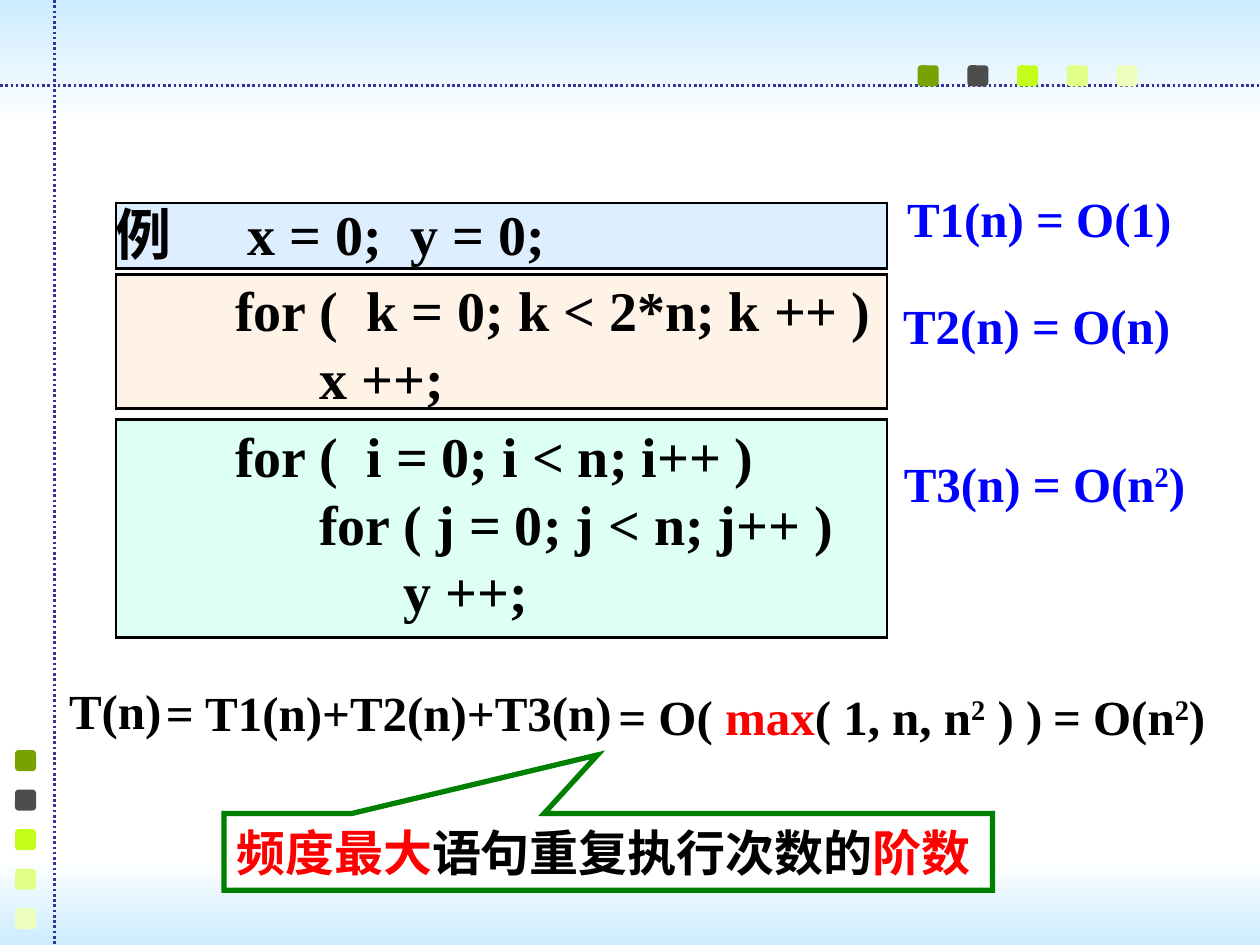
from lxml import etree
from pptx import Presentation
from pptx.dml.color import RGBColor
from pptx.enum.dml import MSO_LINE
from pptx.enum.shapes import MSO_CONNECTOR, MSO_SHAPE
from pptx.enum.text import MSO_ANCHOR, PP_ALIGN
from pptx.oxml.ns import qn
from pptx.util import Pt

RECT = MSO_SHAPE.RECTANGLE
ROUND = MSO_SHAPE.ROUNDED_RECTANGLE
CALLOUT = MSO_SHAPE.RECTANGULAR_CALLOUT
STRAIGHT = MSO_CONNECTOR.STRAIGHT
DOTTED = MSO_LINE.ROUND_DOT
MIDDLE, TOP = MSO_ANCHOR.MIDDLE, MSO_ANCHOR.TOP
LEFT = PP_ALIGN.LEFT

WIDTH, HEIGHT = 720, 540
THEME = {
    "font": "Times New Roman", "code_size": 32, "formula_size": 28,
    "indent": 48,
    "text": "000000", "cost": "0000FF", "accent": "FF0000",
    "paper": "FFFFFF", "sky": "CCECFF", "guide": "333399",
    "outline": "000000", "callout_line": "008000",
    "dots": ["78A200", "4D4D4D", "C3FF1B", "E0FF87", "EEFFBD"],
}


# Content: a run is (text, colour key, superscript)
def plain(text, color="text"):
    return (text, color, False)


def squared(before, after, color="text"):
    return [plain(before, color), ("2", color, True), plain(after, color)]


# Panels: (left, top, width, height), fill
PANELS = [
    ((66.4, 239.8, 440.6, 124.6), "DDFFF6"),
    ((66.4, 157, 440.6, 76.3), "FFF3E7"),
    ((66.4, 115.9, 440.6, 37.4), "DDEEFF"),
]
# Code: box, lines; each line is (indent level, text)
CODE = [
    ((59, 110.2, 60, 45.4), [(0, "例")]),
    ((134.6, 110.2, 358.6, 45.4), [(0, "x = 0;  y = 0;")]),
    ((127.4, 154.1, 400, 84.2),
     [(0, "for (  k = 0; k < 2*n; k ++ )"), (1, "x ++;")]),
    ((127.4, 237.6, 400, 122.4),
     [(0, "for (  i = 0; i < n; i++ )"),
      (1, "for ( j = 0; j < n; j++ )"), (2, "y ++;")]),
]
# Formulas: box, runs
FORMULAS = [
    ((511.2, 104.4, 166.3, 41), [plain("T1(n) = O(1)", "cost")]),
    ((509, 165.6, 167.8, 41), [plain("T2(n) = O(n)", "cost")]),
    ((509.4, 255.6, 177.1, 41), squared("T3(n) = O(n", ")", "cost")),
    ((32.4, 385.2, 67.7, 41), [plain("T(n)")]),
    ((87.8, 386.6, 270.7, 41), [plain("= T1(n)+T2(n)+T3(n)")]),
    ((346.3, 388.8, 259.2, 41),
     [plain("= O( "), plain("max", "accent")] + squared("( 1, n, n", " ) )")),
    ((594.7, 388.8, 103, 41), squared("= O(n", ")")),
]
NOTE_BOX = (128, 464.8, 439.2, 43.9)
NOTE_TIP = (-0.014, -1.261)
NOTE = [plain("频度最大", "accent"), plain("语句重复执行次数的"),
        plain("阶数", "accent")]


def rgb(value):
    return RGBColor.from_string(value)


def add_block(slide, kind, box, fill, line=None, weight=1.5):
    block = slide.shapes.add_shape(kind, *map(Pt, box))
    block.shadow.inherit = False
    block.fill.solid()
    block.fill.fore_color.rgb = rgb(fill)
    if line:
        block.line.color.rgb = rgb(line)
        block.line.width = Pt(weight)
        outline = block._element.spPr.find(qn("a:ln"))
        etree.SubElement(outline, qn("a:miter"), lim="800000")
    else:
        block.line.fill.background()
    return block


def add_band(slide, top, height, colors):
    band = add_block(slide, RECT, (0, top, WIDTH, height), colors[0])
    band.fill.gradient()
    band.fill.gradient_angle = 270
    for stop, color in zip(band.fill.gradient_stops, colors):
        stop.color.rgb = rgb(color)


def add_guide(slide, *ends):
    guide = slide.shapes.add_connector(STRAIGHT, *map(Pt, ends))
    guide.line.color.rgb = rgb(THEME["guide"])
    guide.line.width = Pt(1.5)
    guide.line.dash_style = DOTTED
    etree.SubElement(guide._element.spPr, qn("a:effectLst"))


def add_dots(slide, left, top, step_x, step_y):
    for i, color in enumerate(THEME["dots"]):
        box = (left + i * step_x, top + i * step_y, 12, 12)
        add_block(slide, ROUND, box, color)


def write_line(paragraph, runs, size):
    paragraph.alignment = LEFT
    for text, color, raised in runs:
        run = paragraph.add_run()
        run.text = text
        style = {"name": THEME["font"], "size": Pt(size), "bold": True}
        for name, value in style.items():
            setattr(run.font, name, value)
        run.font.color.rgb = rgb(THEME[color])
        if raised:
            run._r.get_or_add_rPr().set("baseline", "30000")


def add_text(slide, box, wrap=False):
    frame = slide.shapes.add_textbox(*map(Pt, box)).text_frame
    frame.word_wrap = wrap
    frame.vertical_anchor = TOP
    return frame


def add_code(slide, box, lines):
    frame = add_text(slide, box, wrap=True)
    for i, (level, text) in enumerate(lines):
        paragraph = frame.add_paragraph() if i else frame.paragraphs[0]
        write_line(paragraph, [plain(text)], THEME["code_size"])
        props = paragraph._p.get_or_add_pPr()
        props.set("marL", str(Pt(level * THEME["indent"])))
        props.set("indent", "0")


def add_note(slide):
    note = add_block(slide, CALLOUT, NOTE_BOX, THEME["paper"],
                     THEME["callout_line"], 3)
    for i, offset in enumerate(NOTE_TIP):
        note.adjustments[i] = offset
    note.text_frame.word_wrap = True
    note.text_frame.vertical_anchor = MIDDLE
    write_line(note.text_frame.paragraphs[0], NOTE, THEME["formula_size"])


def main():
    deck = Presentation()
    deck.slide_width, deck.slide_height = Pt(WIDTH), Pt(HEIGHT)
    slide = deck.slides.add_slide(deck.slide_layouts[6])

    # Background bands, guides and dots
    add_band(slide, 0, 71.3, (THEME["sky"], THEME["paper"]))
    add_band(slide, 491, 49, (THEME["paper"], THEME["sky"]))
    add_guide(slide, 0, 49, WIDTH, 49)
    add_dots(slide, 524.4, 37.3, 28.4, 0)
    add_dots(slide, 8.6, 428.6, 0, 22.6)
    add_guide(slide, 31, 0, 31, HEIGHT)

    # Code panels
    for box, fill in PANELS:
        add_block(slide, RECT, box, fill, THEME["outline"])
    for box, lines in CODE:
        add_code(slide, box, lines)

    # Callout and running times
    add_note(slide)
    for box, runs in FORMULAS:
        write_line(add_text(slide, box).paragraphs[0], runs,
                   THEME["formula_size"])

    deck.save("out.pptx")


if __name__ == "__main__":
    main()
